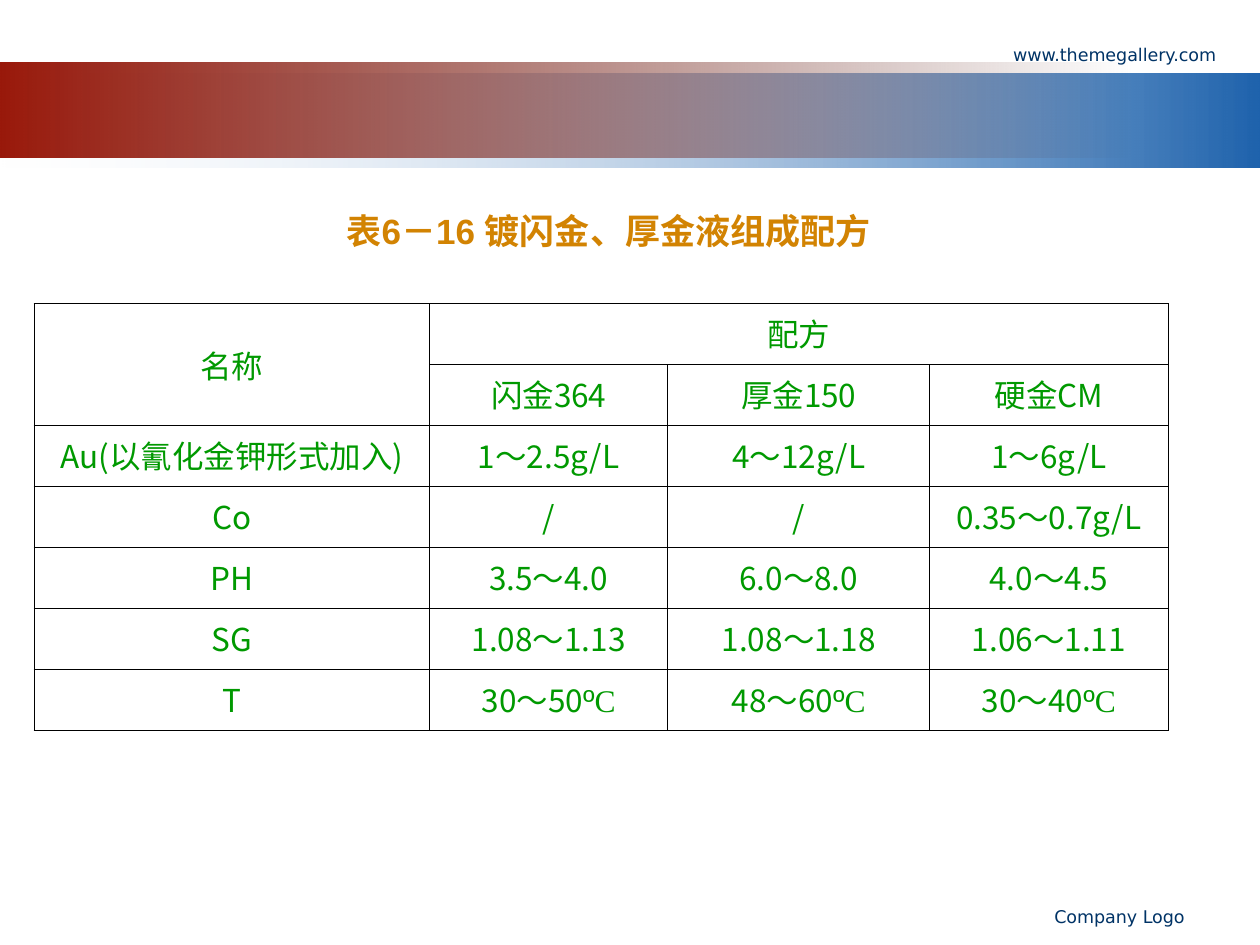
from lxml import etree
from pptx import Presentation
from pptx.dml.color import RGBColor
from pptx.enum.shapes import MSO_SHAPE
from pptx.enum.text import MSO_ANCHOR, MSO_AUTO_SIZE, PP_ALIGN
from pptx.oxml import parse_xml
from pptx.oxml.ns import nsdecls, qn
from pptx.util import Inches, Pt

PALE_BLUE = RGBColor(0xE3, 0xEB, 0xF5)
BLUE = RGBColor(0x1F, 0x63, 0xAD)
RED = RGBColor(0x99, 0x19, 0x0B)
DARK_RED = RGBColor(0x47, 0x0C, 0x05)
NAVY = RGBColor(0x00, 0x33, 0x66)
GREEN = RGBColor(0x00, 0x99, 0x00)
ORANGE = RGBColor(0xD2, 0x83, 0x02)
CJK_FONT = "Noto Sans CJK SC"


def style_paragraph(paragraph, font_name, size, color, align, bold=False):
    paragraph.alignment = align
    font = paragraph.font
    font.name, font.size, font.bold = font_name, Pt(size), bold
    font.color.rgb = color
    latin = paragraph._p.pPr.find(qn("a:defRPr")).find(qn("a:latin"))
    latin.addnext(parse_xml(f'<a:ea {nsdecls("a")} typeface="{CJK_FONT}"/>'))


def add_label(left, top, width, height, text, **style):
    box = slide.shapes.add_textbox(Inches(left), Inches(top), Inches(width), Inches(height))
    box.text_frame.word_wrap = True
    box.text_frame.text = text
    style_paragraph(box.text_frame.paragraphs[0], **style)
    return box.text_frame


presentation = Presentation()
presentation.slide_width, presentation.slide_height = Inches(10), Inches(7.5)
slide = presentation.slides.add_slide(presentation.slide_layouts[6])

# Header bands: each fades out at one end
bands = [(0.58, 10, PALE_BLUE, BLUE, 0), (0.5, 9, RED, DARK_RED, 1)]
for top, width, start, end, clear_stop in bands:
    band = slide.shapes.add_shape(MSO_SHAPE.RECTANGLE, 0, Inches(top), Inches(width), Inches(0.75))
    band.shadow.inherit = False
    band.line.fill.background()
    band.fill.gradient()
    band.fill.gradient_angle = 0
    for stop, color, position in zip(band.fill.gradient_stops, (start, end), (0, 1)):
        stop.color.rgb = color
        stop.position = position
    stop_colors = list(band._element.spPr.iter(qn("a:srgbClr")))
    etree.SubElement(stop_colors[clear_stop], qn("a:alpha"), val="0")

corner_labels = [
    (7.42, 0.3, 2.33, 0.27, "www.themegallery.com"),
    (6.33, 7.14, 3.17, 0.3, "Company Logo"),
]
for label in corner_labels:
    add_label(*label, font_name="DejaVu Sans", size=10, color=NAVY, align=PP_ALIGN.RIGHT)

# Formula table
rows = [
    ["名称", "配方", "", ""],
    ["", "闪金364", "厚金150", "硬金CM"],
    ["Au(以氰化金钾形式加入)", "1～2.5g/L", "4～12g/L", "1～6g/L"],
    ["Co", "/", "/", "0.35～0.7g/L"],
    ["PH", "3.5～4.0", "6.0～8.0", "4.0～4.5"],
    ["SG", "1.08～1.13", "1.08～1.18", "1.06～1.11"],
    ["T", "30～50ºC", "48～60ºC", "30～40ºC"],
]
column_widths = [3.14, 1.89, 2.08, 1.89]
table = slide.shapes.add_table(len(rows), len(column_widths), Inches(0.27), Inches(2.41),
                               Inches(9), Inches(3.39)).table
table.first_row = table.horz_banding = False
for column, width in zip(table.columns, column_widths):
    column.width = Inches(width)

for row_index, texts in enumerate(rows):
    for column_index, text in enumerate(texts):
        cell = table.cell(row_index, column_index)
        cell_properties = cell._tc.get_or_add_tcPr()
        for side in ("lnL", "lnR", "lnT", "lnB"):
            cell_properties.append(parse_xml(
                f'<a:{side} {nsdecls("a")} w="{Pt(0.45)}"><a:solidFill>'
                f'<a:srgbClr val="000000"/></a:solidFill></a:{side}>'))
        cell.fill.background()
        paragraph = cell.text_frame.paragraphs[0]
        style_paragraph(paragraph, CJK_FONT, 18, GREEN, PP_ALIGN.CENTER)
        value, degree, _ = text.partition("ºC")
        if value:
            paragraph.add_run().text = value
        if degree:
            for symbol, font_name in (("º", "Arial"), ("C", "Times New Roman")):
                run = paragraph.add_run()
                run.text = symbol
                run.font.name = font_name

table.cell(0, 0).merge(table.cell(1, 0))
table.cell(0, 1).merge(table.cell(0, 3))
table.cell(0, 0).vertical_anchor = MSO_ANCHOR.MIDDLE

title = add_label(2.52, 1.61, 4.62, 0.44, "表6－16 镀闪金、厚金液组成配方",
                  font_name="Arial", size=20, color=ORANGE, align=PP_ALIGN.CENTER, bold=True)
title.word_wrap = False
title.auto_size = MSO_AUTO_SIZE.SHAPE_TO_FIT_TEXT
title.vertical_anchor = MSO_ANCHOR.MIDDLE

presentation.save("out.pptx")
